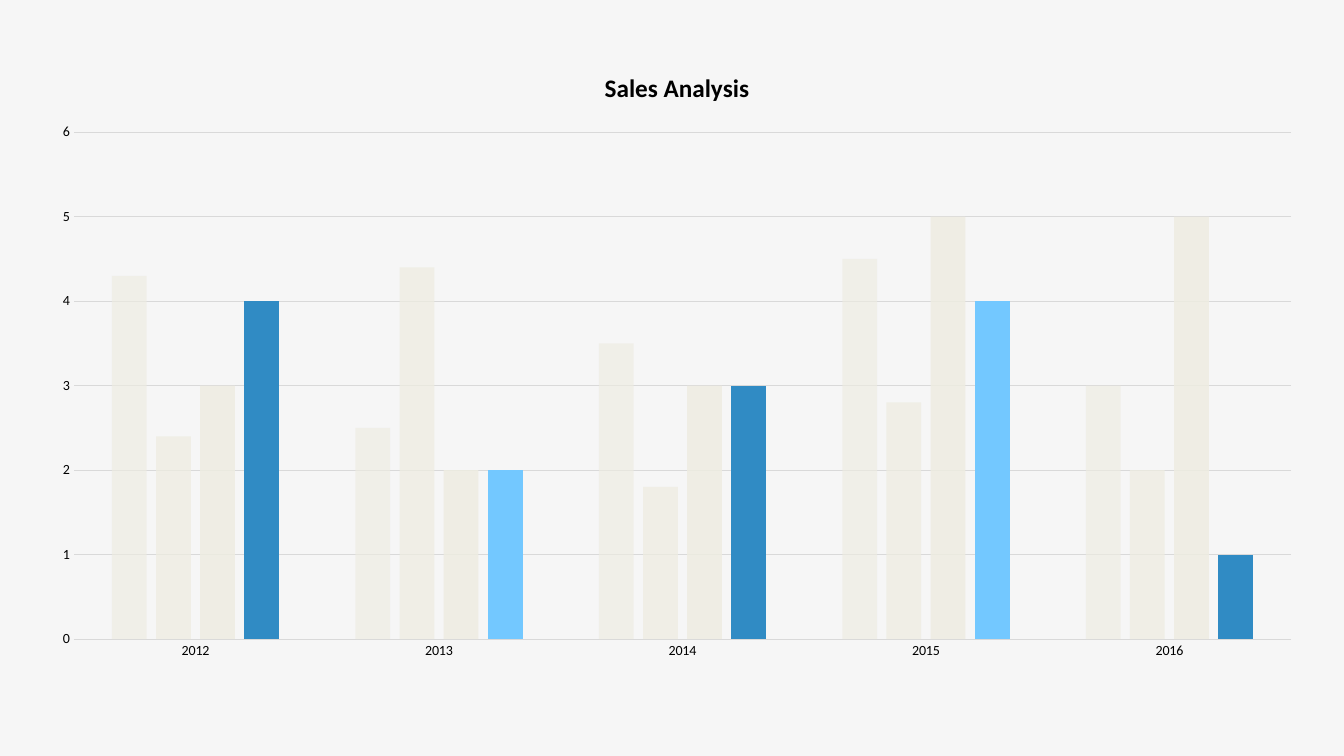
from lxml.etree import SubElement
from pptx import Presentation
from pptx.chart.data import CategoryChartData as ChartData
from pptx.dml.color import RGBColor
from pptx.enum.chart import XL_CHART_TYPE as ChartType, XL_TICK_MARK as TickMark
from pptx.oxml.ns import qn
from pptx.util import Inches, Pt

YEARS = ["2012", "2013", "2014", "2015", "2016"]
SALES = {
    "Series 1": (4.3, 2.5, 3.5, 4.5, 3),
    "Series 2": (2.4, 4.4, 1.8, 2.8, 2),
    "Series 3": (3, 2, 3, 5, 5),
    "Series 4": (4, 2, 3, 4, 1),
}
FADED_OPACITY = {"Series 1": 65, "Series 2": 75, "Series 3": 85}
HIGHLIGHTS = ["308BC4", "73C8FF"]


def paint(fill, color, opacity=100):
    """Make a fill solid, with opacity in percent."""
    fill.solid()
    fill.fore_color.rgb = RGBColor.from_string(color)
    if opacity < 100:
        # The fill's parent element is reached through its colour node.
        color_node = fill._xPr.find(qn("a:solidFill"))[0]
        SubElement(color_node, qn("a:alpha"), val=str(opacity * 1000))


def format_font(font, size, color="000000", bold=False):
    font.name = "Calibri"
    font.size = Pt(size)
    font.bold = bold
    font.color.rgb = RGBColor.from_string(color)


def write(text_frame, text, **font_format):
    text_frame.text = text
    format_font(text_frame.paragraphs[0].runs[0].font, **font_format)


class SalesSlide:
    background = "F6F6F6"
    rule_color = "D9D9D9"
    faded = "EEECE1"

    def __init__(self, deck):
        self.width, self.height = deck.slide_width, deck.slide_height
        self.slide = deck.slides.add_slide(deck.slide_layouts[6])
        paint(self.slide.background.fill, self.background)

    def rule(self, line):
        paint(line.fill, self.rule_color)
        line.width = Pt(0.75)

    def column_chart(self, title, left, top, width, height):
        """Add the sales chart; the frame is given as shares of the slide."""
        data = ChartData()
        data.categories = YEARS
        for name, values in SALES.items():
            data.add_series(name, values)
        chart = self.slide.shapes.add_chart(
            ChartType.COLUMN_CLUSTERED,
            round(left * self.width), round(top * self.height),
            round(width * self.width), round(height * self.height), data).chart
        format_font(chart.font, size=10)
        chart.has_legend = False
        chart.has_title = True
        write(chart.chart_title.text_frame, title, size=18, bold=True)
        chart.chart_title.include_in_layout = False
        self.axes(chart)
        self.columns(chart.plots[0])

    def axes(self, chart):
        for axis in (chart.category_axis, chart.value_axis):
            axis.major_tick_mark = axis.minor_tick_mark = TickMark.NONE
        self.rule(chart.category_axis.format.line)
        values = chart.value_axis
        values.minimum_scale, values.maximum_scale, values.major_unit = 0, 6, 1
        values.format.line.fill.background()
        values.has_major_gridlines = True
        self.rule(values.major_gridlines.format.line)

    def columns(self, plot):
        plot.vary_by_categories = False
        plot.gap_width, plot.overlap = 219, -27
        for series in plot.series:
            series.invert_if_negative = False
            if series.name in FADED_OPACITY:
                paint(series.format.fill, self.faded, FADED_OPACITY[series.name])
                continue
            paint(series.format.fill, HIGHLIGHTS[0])
            for year in range(1, len(YEARS)):
                paint(series.points[year].format.fill, HIGHLIGHTS[year % 2])


def main():
    deck = Presentation()
    deck.slide_width, deck.slide_height = Inches(13.33), Inches(7.5)
    sales = SalesSlide(deck)
    sales.column_chart("Sales Analysis", left=0.37 / 13.33, top=0.48 / 7.5,
                       width=12.69 / 13.33, height=6.18 / 7.5)
    deck.save("out.pptx")


if __name__ == "__main__":
    main()
